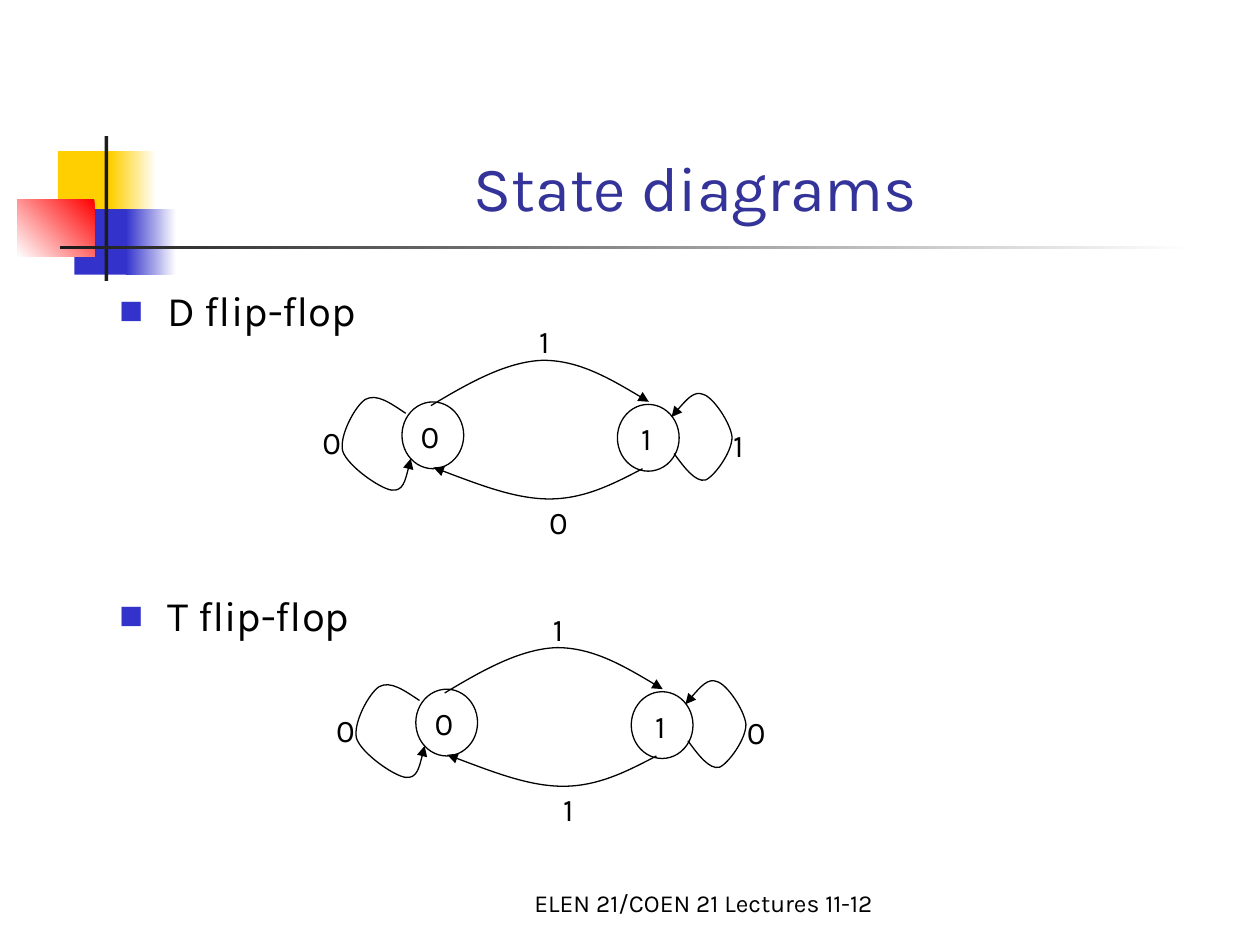
"""Build a slide with the state diagrams of the D and T flip-flops."""
from dataclasses import dataclass
from typing import Any

from lxml.etree import SubElement
from pptx import Presentation
from pptx.dml.color import RGBColor
from pptx.enum.shapes import MSO_SHAPE as Preset
from pptx.enum.text import MSO_ANCHOR as Anchor, PP_ALIGN as Align
from pptx.oxml.ns import qn
from pptx.util import Inches, Pt

COLUMNS, ROWS = 1000, 750
CELL = Inches(10) // COLUMNS
FONT = "Karla"
COLORS = {
    "white": "FFFFFF", "black": "000000", "charcoal": "1C1C1C",
    "yellow": "FFCF01", "blue": "3333CC", "red": "FF0000", "title": "333399",
}


@dataclass(frozen=True)
class Area:
    column: float
    row: float
    columns: float
    rows: float

    def moved(self, shift: tuple[int, int]) -> "Area":
        return Area(self.column + shift[0], self.row + shift[1], self.columns, self.rows)

    def lengths(self) -> list[int]:
        return [round(value * CELL) for value in (self.column, self.row, self.columns, self.rows)]


@dataclass(frozen=True)
class Block:
    area: Area
    colors: tuple[str, ...]
    angle: int = 180


@dataclass(frozen=True)
class Transition:
    points: tuple[tuple[int, int], ...]
    arrow: str = "tailEnd"


@dataclass(frozen=True)
class Diagram:
    shift: tuple[int, int]
    labels: str


BLOCKS = (
    Block(Area(46, 120, 48, 52), ("yellow",)),
    Block(Area(88, 120, 36, 52), ("white", "yellow")),
    Block(Area(59, 166, 46, 52), ("blue",)),
    Block(Area(100, 166, 40, 52), ("white", "blue")),
    Block(Area(14, 158, 61, 46), ("red", "white"), 225),
    Block(Area(83, 108, 3, 115), ("charcoal",)),
    Block(Area(48, 195, 900, 3), ("white", "charcoal")),
)
STATES = (Area(319, 319, 49, 53), Area(490, 321, 49, 53))
TRANSITIONS = (
    Transition(((342, 322), (372, 304), (402, 287), (431, 286),
                (459, 286), (487, 302), (515, 319))),
    Transition(((510, 372), (487, 384), (464, 396), (436, 396),
                (409, 396), (376, 383), (344, 371))),
    Transition(((322, 328), (310, 320), (299, 312), (290, 317), (282, 322), (269, 346), (272, 358),
                (276, 370), (302, 388), (311, 389), (320, 390), (323, 377), (326, 364))),
    Transition(((533, 331), (542, 320), (551, 310), (558, 313), (566, 315), (580, 336), (581, 347),
                (581, 359), (567, 378), (560, 381), (552, 383), (543, 371), (535, 360)), "headEnd"),
)
LABEL_SPOTS = ((324, 326), (499, 328), (418, 251), (426, 394), (572, 333), (246, 331))
DIAGRAMS = (Diagram((0, 0), "011010"), Diagram((11, 228), "011100"))


def color(name: str) -> RGBColor:
    return RGBColor.from_string(COLORS[name])


def apply_format(target: Any, values: dict[str, Any]) -> None:
    for name, value in values.items():
        setattr(target, name, value)


def draw_block(slide: Any, block: Block) -> None:
    shape = slide.shapes.add_shape(Preset.RECTANGLE, *block.area.lengths())
    shape.shadow.inherit = False
    shape.line.fill.background()
    if len(block.colors) == 1:
        shape.fill.solid()
        shape.fill.fore_color.rgb = color(block.colors[0])
        return
    shape.fill.gradient()
    shape.fill.gradient_angle = block.angle
    for stop, name in zip(shape.fill.gradient_stops, block.colors):
        stop.color.rgb = color(name)


def outline(shape: Any) -> None:
    shape.shadow.inherit = False
    shape.fill.background()
    shape.line.color.rgb = color("black")
    shape.line.width = Pt(0.75)


def draw_state(slide: Any, area: Area) -> None:
    outline(slide.shapes.add_shape(Preset.OVAL, *area.lengths()))


def draw_transition(slide: Any, transition: Transition, shift: tuple[int, int]) -> None:
    points = [(x + shift[0], y + shift[1]) for x, y in transition.points]
    builder = slide.shapes.build_freeform(*points[0], scale=CELL)
    builder.add_line_segments(points[1:], close=False)
    shape = builder.convert_to_shape()
    outline(shape)
    segments = list(shape._element.iter(qn("a:lnTo")))
    for start in range(0, len(segments), 3):
        curve = SubElement(segments[start].getparent(), qn("a:cubicBezTo"))
        for segment in segments[start:start + 3]:
            curve.append(segment[0])
            segment.getparent().remove(segment)
    line = shape._element.spPr.get_or_add_ln()
    SubElement(line, qn(f"a:{transition.arrow}"), type="triangle")


def write(slide: Any, area: Area, lines: tuple[str, ...], size: int, ink: str = "black",
          anchor: Any = Anchor.TOP, **paragraph_format: Any) -> list[Any]:
    frame = slide.shapes.add_textbox(*area.lengths()).text_frame
    apply_format(frame, {"word_wrap": True, "vertical_anchor": anchor, "text": "\n".join(lines)})
    for paragraph in frame.paragraphs:
        apply_format(paragraph, paragraph_format)
        for run in paragraph.runs:
            apply_format(run.font, {"name": FONT, "size": Pt(size)})
            run.font.color.rgb = color(ink)
    return list(frame.paragraphs)


def add_bullet(paragraph: Any) -> None:
    properties = paragraph._p.get_or_add_pPr()
    indent = 38 * CELL
    apply_format(paragraph, {"level": 0})
    properties.set("marL", str(indent))
    properties.set("indent", str(-indent))
    bullet_color = SubElement(properties, qn("a:buClr"))
    SubElement(bullet_color, qn("a:srgbClr"), val=COLORS["blue"])
    SubElement(properties, qn("a:buSzPct"), val="60000")
    SubElement(properties, qn("a:buFont"), typeface=FONT)
    SubElement(properties, qn("a:buChar"), char="■")


def draw_diagram(slide: Any, diagram: Diagram) -> None:
    for state in STATES:
        draw_state(slide, state.moved(diagram.shift))
    for transition in TRANSITIONS:
        draw_transition(slide, transition, diagram.shift)
    for spot, label in zip(LABEL_SPOTS, diagram.labels):
        write(slide, Area(*spot, 32, 40).moved(diagram.shift), (label,), 18)


def main() -> None:
    presentation = Presentation()
    apply_format(presentation, {"slide_width": COLUMNS * CELL, "slide_height": ROWS * CELL})
    slide = presentation.slides.add_slide(presentation.slide_layouts[6])
    for block in BLOCKS:
        draw_block(slide, block)
    write(slide, Area(400, 683, 317, 50), ("ELEN 21/COEN 21 Lectures 11-12",), 14,
          anchor=Anchor.BOTTOM, alignment=Align.CENTER)
    write(slide, Area(126, 23, 852, 160), ("State diagrams",), 36, "title",
          anchor=Anchor.BOTTOM, alignment=Align.CENTER)
    headings = write(slide, Area(85, 221, 850, 450), ("D flip-flop", "T flip-flop"), 24)
    for heading, gap in zip(headings, (6, 145.6)):
        heading.space_before = Pt(gap)
        add_bullet(heading)
    for diagram in DIAGRAMS:
        draw_diagram(slide, diagram)
    presentation.save("out.pptx")


if __name__ == "__main__":
    main()
